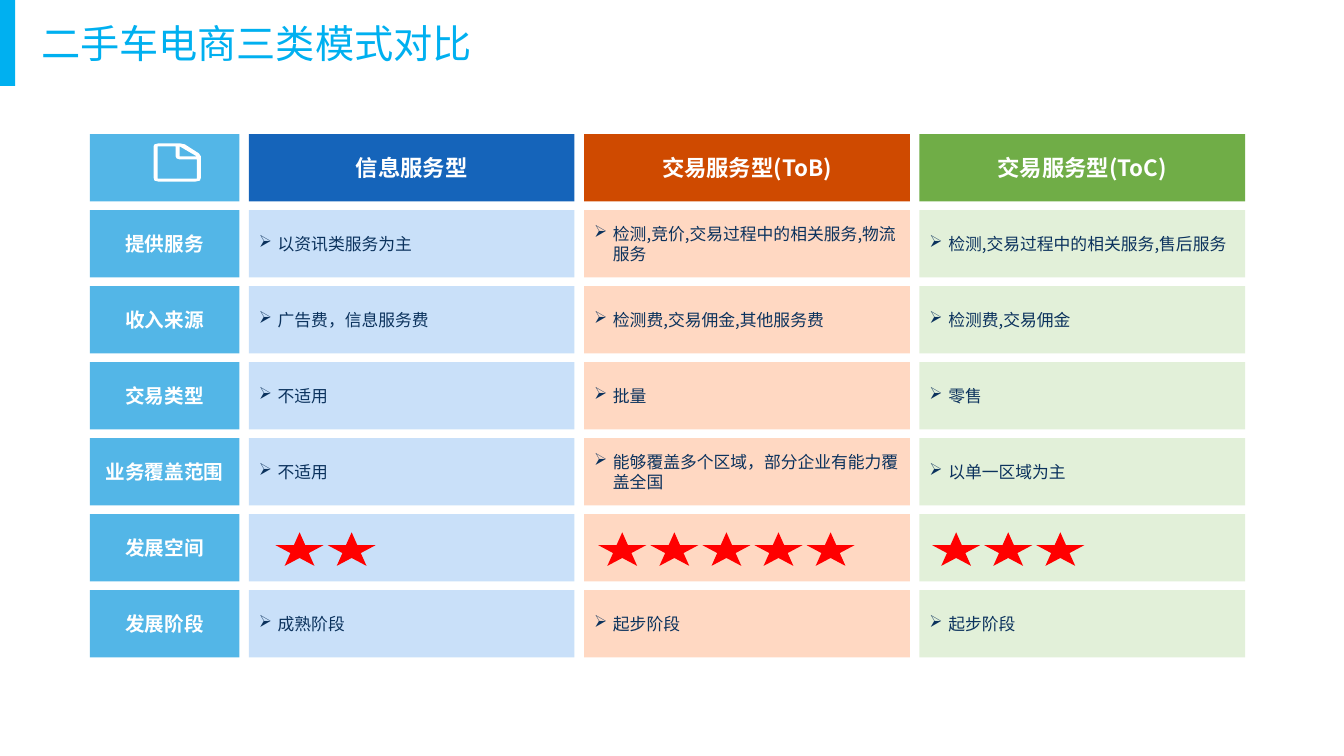
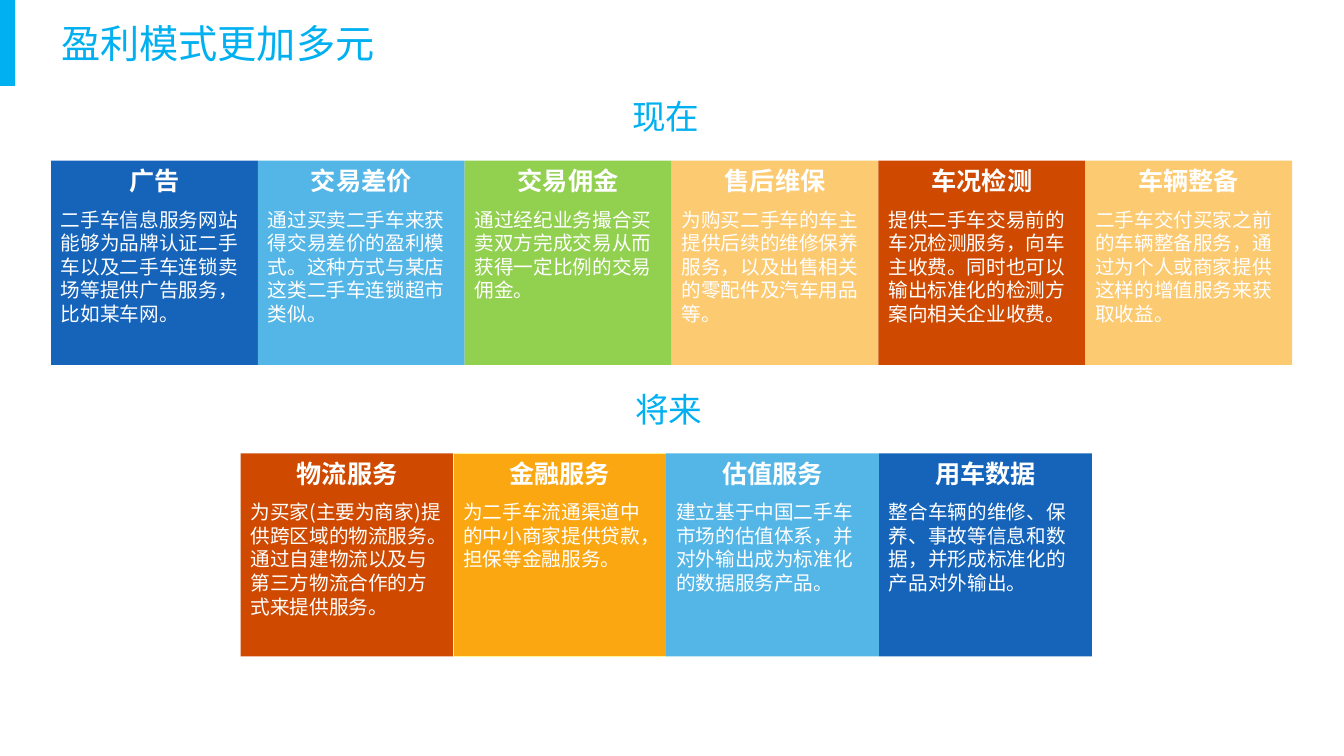
"""Build two slides comparing used-car e-commerce models and their revenue sources."""
from lxml import etree
from pptx import Presentation
from pptx.dml import color
from pptx.enum import shapes, text
from pptx.oxml import ns
from pptx.util import Pt


class Theme:
    font = "Noto Sans CJK SC"
    leading = 1.2
    accent, white, ink, star = "00B0F0", "FFFFFF", "0B325D", "FF0000"
    blue, sky, orange, green = "1564BA", "53B6E7", "CF4A00", "70AD47"
    lime, amber, sand, amber_edge = "92D050", "FAA712", "FCCA71", "FFF39B"
    pale_blue, pale_orange, pale_green = "C9E0F9", "FFD8C2", "E2F0D9"
    title = {"size": 28, "color": accent}
    section = {"size": 24, "color": accent, "align": "CENTER"}
    column_head = {"size": 16, "color": white, "bold": True, "align": "CENTER"}
    row_head = {"size": 14, "color": white, "bold": True, "align": "CENTER"}
    cell = {"size": 12, "color": ink, "bullet": "➢"}
    card_head = {"size": 18, "color": white, "bold": True, "align": "CENTER"}
    card_body = {"size": 14, "color": white, "before": 8.4}


def write(frame, entries, anchor="TOP"):
    frame.word_wrap = True
    frame.vertical_anchor = text.MSO_ANCHOR[anchor]
    for index, (words, style) in enumerate(entries):
        paragraph = frame.paragraphs[0] if index == 0 else frame.add_paragraph()
        if "bullet" in style:
            properties = paragraph._p.get_or_add_pPr()
            properties.set("marL", str(Pt(13.5)))
            properties.set("indent", str(-Pt(13.5)))
            etree.SubElement(properties, ns.qn("a:buChar"), char=style["bullet"])
        layout = {
            "alignment": text.PP_ALIGN[style.get("align", "LEFT")],
            "line_spacing": Pt(style["size"] * Theme.leading),
            "space_before": Pt(style.get("before", 0)),
        }
        for name, value in layout.items():
            setattr(paragraph, name, value)
        run = paragraph.add_run()
        run.text = words
        look = {"name": Theme.font, "size": Pt(style["size"]), "bold": style.get("bold", False)}
        for name, value in look.items():
            setattr(run.font, name, value)
        run.font.color.rgb = color.RGBColor.from_string(style["color"])
        etree.SubElement(run._r.get_or_add_rPr(), ns.qn("a:ea"), typeface=Theme.font)


def block(slide, box, fill, kind="RECTANGLE", edge=None):
    shape = slide.shapes.add_shape(shapes.MSO_SHAPE[kind], *map(Pt, box))
    shape.shadow.inherit = False
    shape.fill.solid()
    shape.fill.fore_color.rgb = color.RGBColor.from_string(fill)
    if edge:
        shape.line.color.rgb = color.RGBColor.from_string(edge)
        shape.line.width = Pt(0.75)
    else:
        shape.line.fill.background()
    return shape


deck = Presentation()
deck.slide_width, deck.slide_height = Pt(960), Pt(540)

titles = [
    ("二手车电商三类模式对比", (22.3, 10.1, 582, 41)),
    ("盈利模式更加多元", (36.7, 10.1, 240.5, 41)),
]
pages = []
for words, box in titles:
    page = deck.slides.add_slide(deck.slide_layouts[6])
    block(page, (0, 0, 10.8, 61.4), Theme.accent)
    write(page.shapes.add_textbox(*map(Pt, box)).text_frame, [(words, Theme.title)])
    pages.append(page)
comparison, revenue = pages

row_heads = ["", "提供服务", "收入来源", "交易类型", "业务覆盖范围", "发展空间", "发展阶段"]
models = [
    ("信息服务型", Theme.blue, Theme.pale_blue, 2, 19,
     ["以资讯类服务为主", "广告费，信息服务费", "不适用", "不适用", "", "成熟阶段"]),
    ("交易服务型(ToB)", Theme.orange, Theme.pale_orange, 5, 10,
     ["检测,竞价,交易过程中的相关服务,物流服务", "检测费,交易佣金,其他服务费", "批量",
      "能够覆盖多个区域，部分企业有能力覆盖全国", "", "起步阶段"]),
    ("交易服务型(ToC)", Theme.green, Theme.pale_green, 3, 9,
     ["检测,交易过程中的相关服务,售后服务", "检测费,交易佣金", "零售", "以单一区域为主", "", "起步阶段"]),
]
grid_top, row_pitch, row_height = 95.8, 54.3, 48
head_left, head_width = 64.2, 106.8
model_left, model_pitch, model_width = 177.8, 239.5, 232.6
rating_row, star_pitch = row_heads.index("发展空间"), 37.2

for row, words in enumerate(row_heads):
    head = block(comparison, (head_left, grid_top + row * row_pitch, head_width, row_height), Theme.sky)
    if words:
        write(head.text_frame, [(words, Theme.row_head)], "MIDDLE")

for column, (name, strong, pale, stars, inset, answers) in enumerate(models):
    left = model_left + column * model_pitch
    for row, words in enumerate([name, *answers]):
        top = grid_top + row * row_pitch
        cell = block(comparison, (left, top, model_width, row_height), pale if row else strong)
        if words:
            write(cell.text_frame, [(words, Theme.cell if row else Theme.column_head)], "MIDDLE")
    star_top = grid_top + rating_row * row_pitch + 12.9
    for position in range(stars):
        star_left = left + inset + position * star_pitch
        block(comparison, (star_left, star_top, 34.4, 24), Theme.star, "STAR_5_POINT")

note_outline = [(45, 10), (31, 1), (26, 0), (5, 0), (1, 1), (0, 3), (0, 34), (1, 37), (5, 38),
                (41, 38), (46, 37), (47, 34), (47, 13)]
note_inside = [(43, 35), (4, 35), (4, 3), (22, 3), (22, 13), (23, 15), (26, 16), (43, 16)]
note_fold = [(26, 13), (26, 3), (43, 13)]
pen = comparison.shapes.build_freeform(*note_outline[0], scale=Pt(0.72))
pen.add_line_segments(note_outline[1:])
for contour in (note_inside, note_fold):
    pen.move_to(*contour[0])
    pen.add_line_segments(contour[1:])
note = pen.convert_to_shape(Pt(109.7), Pt(102.4))
note.shadow.inherit = False
note.fill.solid()
note.fill.fore_color.rgb = color.RGBColor.from_string(Theme.white)
note.line.fill.background()

periods = [
    ("现在", (403.2, 64.8, 144.7, 36), (36.5, 114.7, 147.75, 146), [
        ("广告", Theme.blue, "二手车信息服务网站能够为品牌认证二手车以及二手车连锁卖场等提供广告服务，比如某车网。"),
        ("交易差价", Theme.sky, "通过买卖二手车来获得交易差价的盈利模式。这种方式与某店这类二手车连锁超市类似。"),
        ("交易佣金", Theme.lime, "通过经纪业务撮合买卖双方完成交易从而获得一定比例的交易佣金。"),
        ("售后维保", Theme.sand, "为购买二手车的车主提供后续的维修保养服务，以及出售相关的零配件及汽车用品等。"),
        ("车况检测", Theme.orange, "提供二手车交易前的车况检测服务，向车主收费。同时也可以输出标准化的检测方案向相关企业收费。"),
        ("车辆整备", Theme.sand, "二手车交付买家之前的车辆整备服务，通过为个人或商家提供这样的增值服务来获取收益。"),
    ]),
    ("将来", (405.4, 274.3, 144.7, 36), (171.9, 323.8, 152, 145), [
        ("物流服务", Theme.orange, "为买家(主要为商家)提供跨区域的物流服务。通过自建物流以及与第三方物流合作的方式来提供服务。"),
        ("金融服务", Theme.amber, "为二手车流通渠道中的中小商家提供贷款，担保等金融服务。"),
        ("估值服务", Theme.sky, "建立基于中国二手车市场的估值体系，并对外输出成为标准化的数据服务产品。"),
        ("用车数据", Theme.blue, "整合车辆的维修、保养、事故等信息和数据，并形成标准化的产品对外输出。"),
    ]),
]
for period, period_box, (left, top, width, height), sources in periods:
    write(revenue.shapes.add_textbox(*map(Pt, period_box)).text_frame, [(period, Theme.section)])
    for index, (name, fill, detail) in enumerate(sources):
        edge = Theme.amber_edge if fill == Theme.amber else None
        card = block(revenue, (left + index * width, top, width, height), fill, edge=edge)
        write(card.text_frame, [(name, Theme.card_head), (detail, Theme.card_body)])

deck.save("out.pptx")
